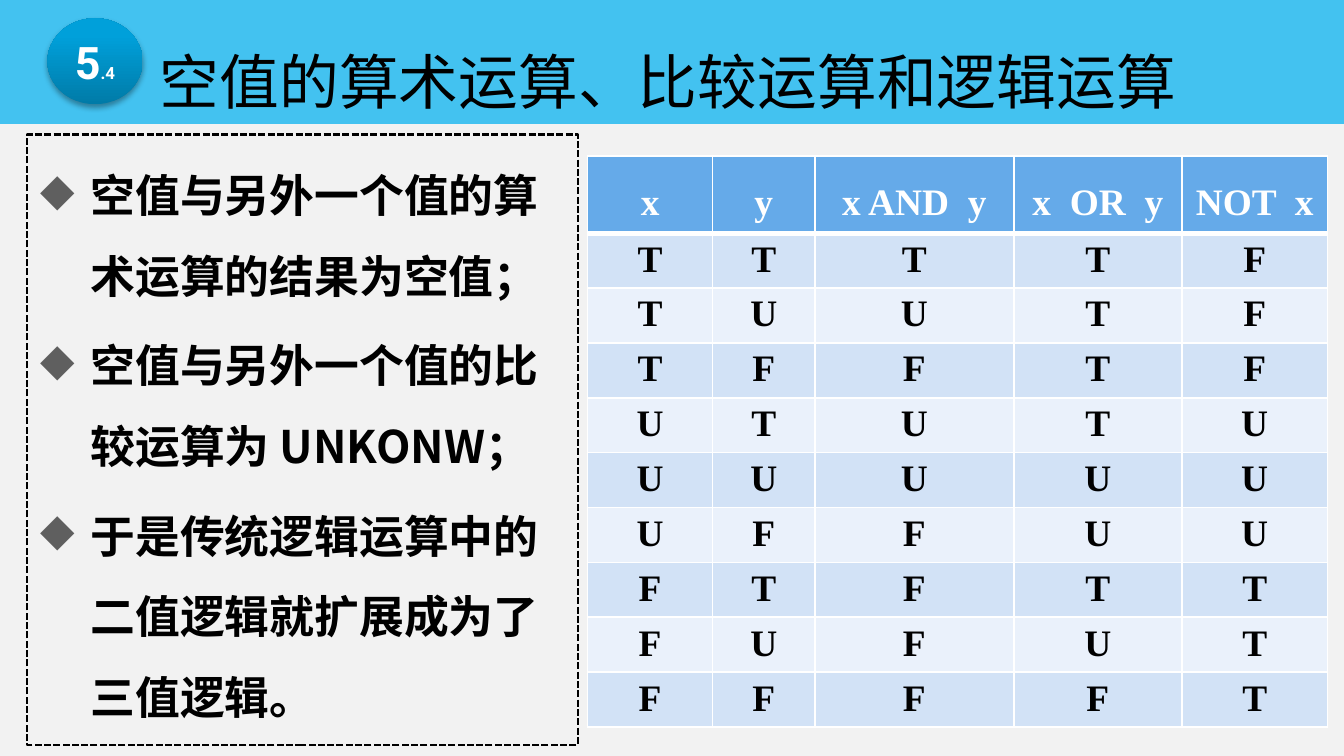
import pptx
import pptx.util
import pptx.dml.color
import pptx.enum.dml
import pptx.enum.shapes
import pptx.enum.text
import pptx.oxml
import pptx.oxml.ns
from lxml import etree

Pt = pptx.util.Pt
Shape = pptx.enum.shapes.MSO_SHAPE
Align = pptx.enum.text.PP_ALIGN
Anchor = pptx.enum.text.MSO_ANCHOR
qn = pptx.oxml.ns.qn
CJK = "Noto Sans CJK SC"


def color(text):
    return pptx.dml.color.RGBColor.from_string(text)


def node(owner, tag, **attrs):
    return etree.SubElement(owner, qn(tag), attrs)


def adjust(item, style):
    for name, value in style.items():
        setattr(item, name, value)


class Deck:
    title_font = {"name": "Arial", "size": Pt(32), "bold": False}
    body_font = {"name": CJK, "size": Pt(24), "bold": True}
    cell_font = {"name": "Times New Roman", "size": Pt(20), "bold": True}
    badge_font = {"name": "Roboto", "bold": True}
    head, bands = "65AAE9", ("D2E2F6", "EAF1FB")

    def __init__(self, wide, high):
        self.prs = pptx.Presentation()
        adjust(self.prs, {"slide_width": Pt(wide), "slide_height": Pt(high)})
        self.slide = self.prs.slides.add_slide(self.prs.slide_layouts[5])
        back = self.slide.background.fill
        back.solid()
        back.fore_color.rgb = color("F2F2F2")

    def label(self, para, text, style, ink):
        run = para.add_run()
        run.text = text
        adjust(run.font, style)
        run.font.color.rgb = color(ink)
        node(run.font._element, "a:ea", typeface=CJK)

    def shape(self, kind, box):
        item = self.slide.shapes.add_shape(kind, *map(Pt, box))
        item.shadow.inherit = False
        return item

    def band(self, box, fill, alpha):
        item = self.shape(Shape.RECTANGLE, box)
        item.fill.solid()
        item.fill.fore_color.rgb = color(fill)
        tint = item._element.spPr.find(".//" + qn("a:srgbClr"))
        node(tint, "a:alpha", val=str(alpha * 1000))
        item.line.fill.background()
        # Send behind the title
        self.slide.shapes._spTree.insert(2, item._element)

    def title(self, box, text):
        item = self.slide.shapes.title
        adjust(item, dict(zip(("left", "top", "width", "height"), map(Pt, box))))
        frame = item.text_frame
        adjust(frame, {"word_wrap": True, "vertical_anchor": Anchor.MIDDLE,
                       "auto_size": pptx.enum.text.MSO_AUTO_SIZE.NONE})
        para = frame.paragraphs[0]
        adjust(para, {"alignment": Align.LEFT, "line_spacing": 1.5})
        self.label(para, text, self.title_font, "000000")

    def bullets(self, box, lines):
        item = self.shape(Shape.RECTANGLE, box)
        item.fill.background()
        item.line.color.rgb = color("000000")
        adjust(item.line, {"width": Pt(1.25),
                           "dash_style": pptx.enum.dml.MSO_LINE.SQUARE_DOT})
        frame = item.text_frame
        adjust(frame, {"word_wrap": True, "vertical_anchor": Anchor.TOP})
        for i, text in enumerate(lines):
            para = frame.add_paragraph() if i else frame.paragraphs[0]
            adjust(para, {"alignment": Align.LEFT, "line_spacing": 1.5,
                          "space_before": Pt(4.8 if i else 0)})
            props = para._p.get_or_add_pPr()
            props.set("marL", str(Pt(27)))
            props.set("indent", str(-Pt(27)))
            node(node(props, "a:buClr"), "a:srgbClr", val="5F5F5F")
            node(props, "a:buChar", char="◆")
            self.label(para, text, self.body_font, "000000")

    def border(self, cell, sides):
        props = cell._tc.get_or_add_tcPr()
        for i, (side, width) in enumerate(sides.items()):
            line = etree.Element(qn("a:ln" + side), w=str(Pt(width)))
            node(node(line, "a:solidFill"), "a:srgbClr", val="FFFFFF")
            props.insert(i, line)

    def table(self, box, cols, tall, rows):
        grid = self.slide.shapes.add_table(
            len(rows), len(cols), *map(Pt, box)).table
        for col, wide in zip(grid.columns, cols):
            col.width = Pt(wide)
        rest = (box[3] - tall) / (len(rows) - 1)
        for r, texts in enumerate(rows):
            grid.rows[r].height = Pt(rest if r else tall)
            for c, text in enumerate(texts):
                cell = grid.cell(r, c)
                adjust(cell, {"margin_top": Pt(3), "margin_bottom": Pt(3)})
                cell.fill.solid()
                cell.fill.fore_color.rgb = color(
                    self.bands[(r - 1) % 2] if r else self.head)
                self.border(cell, {"L": 1, "R": 1, "T": 3 if r == 1 else 1,
                                   "B": 1 if r else 3})
                para = cell.text_frame.paragraphs[0]
                adjust(para, {"alignment": Align.CENTER,
                              "line_spacing": 1.0 if r else 1.5})
                self.label(para, text, self.cell_font,
                           "000000" if r else "FFFFFF")

    def badge(self, box, parts):
        item = self.shape(Shape.OVAL, box)
        item.line.fill.background()
        item.fill.gradient()
        item.fill.gradient_angle = 90
        stops = zip(item.fill.gradient_stops, ((0, "007BA8"), (0.8, "00A0DA")))
        for stop, (place, tone) in stops:
            stop.position = place
            stop.color.rgb = color(tone)
        # Soft shadow straight below
        effect = item._element.spPr.find(qn("a:effectLst"))
        shade = node(effect, "a:outerShdw", blurRad=str(Pt(3.1)),
                     dist=str(Pt(1.8)), dir="5400000", rotWithShape="0")
        node(node(shade, "a:srgbClr", val="000000"), "a:alpha", val="35000")
        frame = item.text_frame
        adjust(frame, {"word_wrap": False, "vertical_anchor": Anchor.MIDDLE})
        para = frame.paragraphs[0]
        para.alignment = Align.CENTER
        for text, size in parts:
            self.label(para, text, {**self.badge_font, "size": Pt(size)},
                       "FFFFFF")


def main():
    deck = Deck(720, 405)

    # Header
    deck.band((-0.5, 0, 720.5, 66.4), "00B0F0", 72)
    deck.title((78.5, 0.7, 569.5, 65.5), "空值的算术运算、比较运算和逻辑运算")

    # Truth table for three values
    heads = ["x", "y", "x AND  y", "x  OR  y", "NOT  x"]
    truth = ["TTTTF", "TUUTF", "TFFTF", "UTUTU", "UUUUU",
             "UFFUU", "FTFTT", "FUFUT", "FFFFT"]
    deck.table((314.8, 83.5, 396.5, 306), (67, 54.8, 106.6, 90, 78.1),
               41.4, [heads, *truth])

    # Rules on null values
    deck.bullets((14.4, 72, 295.2, 327), [
        "空值与另外一个值的算术运算的结果为空值；",
        "空值与另外一个值的比较运算为 UNKONW；",
        "于是传统逻辑运算中的二值逻辑就扩展成为了三值逻辑。"])

    # Section number
    deck.badge((25.4, 9.8, 51, 46), [("5", 24), (".4", 9)])
    deck.prs.save("out.pptx")


if __name__ == "__main__":
    main()
